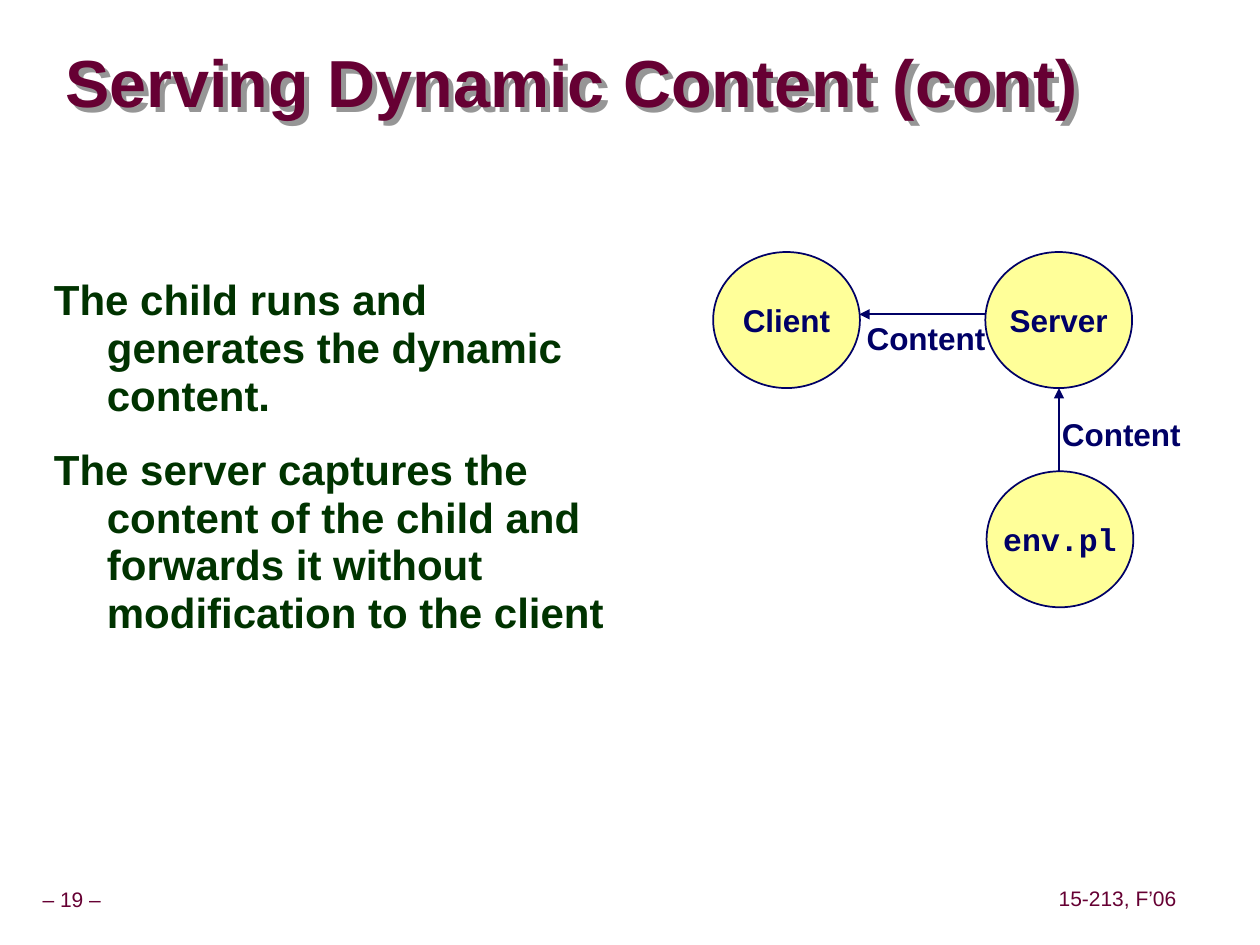
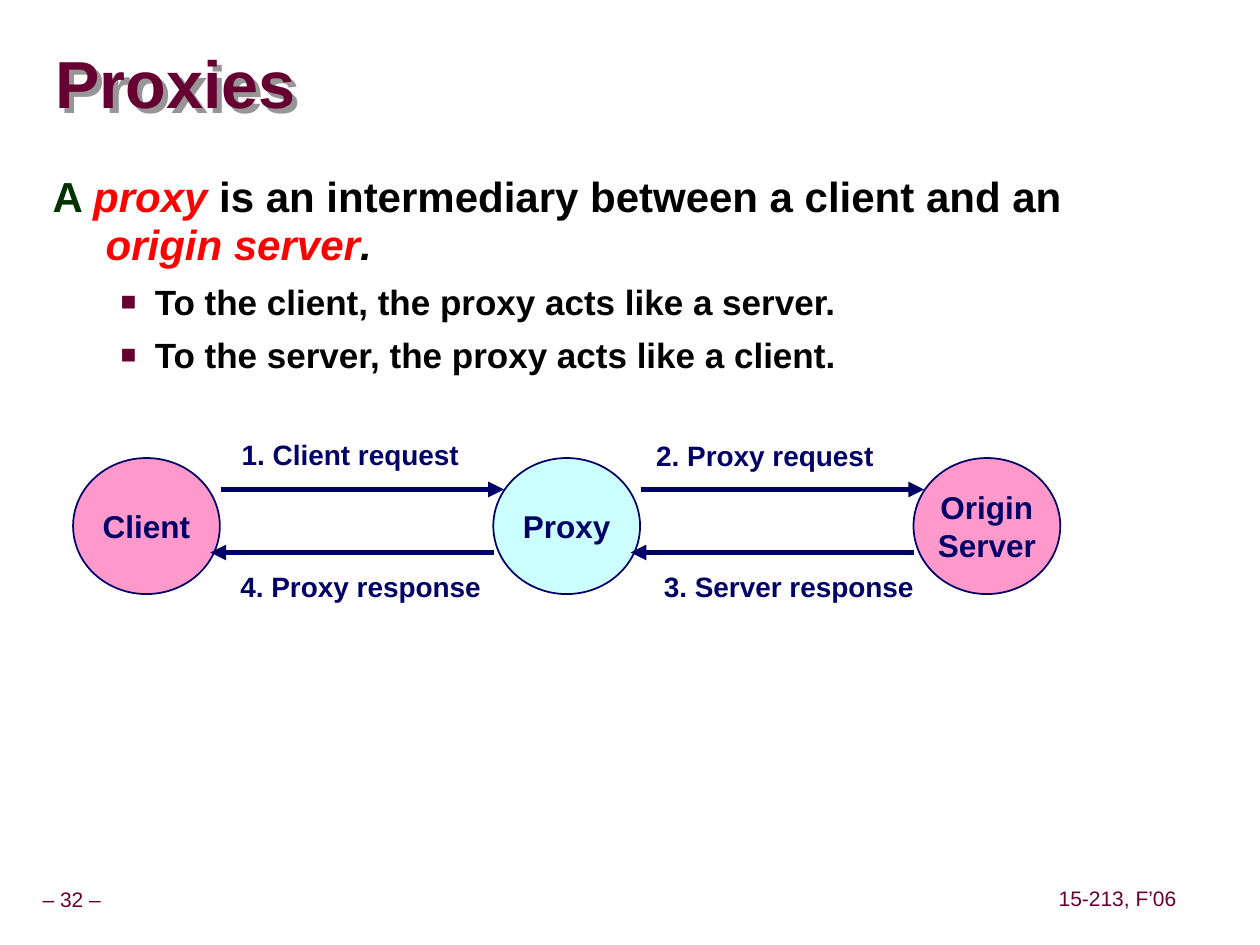
import dataclasses
import typing

import lxml.etree
import pptx
import pptx.dml.color
import pptx.enum.shapes
import pptx.enum.text
import pptx.oxml.ns
import pptx.shapes.base
import pptx.slide
import pptx.util

MAROON = pptx.dml.color.RGBColor(0x66, 0x00, 0x33)
NAVY = pptx.dml.color.RGBColor(0x00, 0x00, 0x66)
FOREST = pptx.dml.color.RGBColor(0x00, 0x33, 0x00)
RED = pptx.dml.color.RGBColor(0xFF, 0x00, 0x00)
BLACK = pptx.dml.color.RGBColor(0x00, 0x00, 0x00)
YELLOW = pptx.dml.color.RGBColor(0xFF, 0xFF, 0x99)
PINK = pptx.dml.color.RGBColor(0xFF, 0x99, 0xCC)
CYAN = pptx.dml.color.RGBColor(0xCC, 0xFF, 0xFF)
SHADE = pptx.dml.color.RGBColor(0x96, 0x96, 0x96)

SLIDE_WIDTH = pptx.util.Inches(10)
SLIDE_HEIGHT = pptx.util.Inches(7.5)
COLUMN = SLIDE_WIDTH / 100
ROW = SLIDE_HEIGHT / 75

MIDDLE = pptx.enum.text.MSO_ANCHOR.MIDDLE
TOP = pptx.enum.text.MSO_ANCHOR.TOP
CENTER = pptx.enum.text.PP_ALIGN.CENTER
LEFT = pptx.enum.text.PP_ALIGN.LEFT

NODE_COLUMNS, NODE_ROWS = 11.65, 10.8
COURSE = "15-213, F’06"


@dataclasses.dataclass(frozen=True)
class Box:
    column: float
    row: float
    columns: float
    rows: float

    def emu(self) -> tuple[int, ...]:
        return (round(self.column * COLUMN), round(self.row * ROW),
                round(self.columns * COLUMN), round(self.rows * ROW))


@dataclasses.dataclass(frozen=True)
class Span:
    text: str
    color: pptx.dml.color.RGBColor
    size: float
    bold: bool = True
    italic: bool = False
    face: str = "Arial"


@dataclasses.dataclass(frozen=True)
class Line:
    spans: tuple[Span, ...]
    formats: dict[str, typing.Any]
    bulleted: bool = False
    indent: float = 0


@dataclasses.dataclass(frozen=True)
class Node:
    column: float
    row: float
    names: tuple[str, ...]
    fill: pptx.dml.color.RGBColor
    face: str = "Arial"


@dataclasses.dataclass(frozen=True)
class Arrow:
    start: tuple[float, float]
    end: tuple[float, float]
    weight: float


@dataclasses.dataclass(frozen=True)
class Label:
    box: Box
    text: str
    size: float
    alignment: pptx.enum.text.PP_ALIGN


def apply(target: typing.Any, formats: dict[str, typing.Any]) -> None:
    for name, value in formats.items():
        setattr(target, name, value)


def add_xml(parent: typing.Any, tag: str, **attributes: str) -> typing.Any:
    element = lxml.etree.SubElement(parent, pptx.oxml.ns.qn(tag))
    for name, value in attributes.items():
        element.set(name, value)
    return element


def indent_line(paragraph: typing.Any, line: Line) -> None:
    properties = paragraph._p.get_or_add_pPr()
    hanging = 2.7 if line.bulleted else line.indent
    properties.set("marL", str(round(line.indent * COLUMN)))
    properties.set("indent", str(round(-hanging * COLUMN)))
    if line.bulleted:
        add_xml(add_xml(properties, "a:buClr"), "a:srgbClr", val=str(MAROON))
        add_xml(properties, "a:buSzPct", val="75000")
        add_xml(properties, "a:buFont", typeface="Arial")
        add_xml(properties, "a:buChar", char="■")


def write(shape: typing.Any, lines: typing.Sequence[Line],
          frame_formats: dict[str, typing.Any]) -> None:
    frame = shape.text_frame
    apply(frame, frame_formats)
    for index, line in enumerate(lines):
        paragraph = frame.add_paragraph() if index else frame.paragraphs[0]
        apply(paragraph, line.formats)
        if line.indent:
            indent_line(paragraph, line)
        for span in line.spans:
            run = paragraph.add_run()
            run.text = span.text
            apply(run.font, {"name": span.face, "size": pptx.util.Pt(span.size),
                             "bold": span.bold, "italic": span.italic})
            run.font.color.rgb = span.color


def margins(horizontal: float, vertical: float) -> dict[str, int]:
    across, down = round(horizontal * COLUMN), round(vertical * ROW)
    return {"margin_left": across, "margin_right": across,
            "margin_top": down, "margin_bottom": down}


def add_text(slide: pptx.slide.Slide, box: Box, lines: typing.Sequence[Line],
             **frame_formats: typing.Any) -> pptx.shapes.base.BaseShape:
    text = slide.shapes.add_textbox(*box.emu())
    write(text, lines, frame_formats)
    return text


def add_title(slide: pptx.slide.Slide, text: str, box: Box, inset: float) -> None:
    line = Line((Span(text, MAROON, 38),), {"line_spacing": 0.87})
    title = add_text(slide, box, [line], word_wrap=True,
                     vertical_anchor=MIDDLE, **margins(inset, inset / 2))
    effects = add_xml(title._element.spPr, "a:effectLst")
    shadow = add_xml(effects, "a:outerShdw", dist="53900", dir="2700000",
                     algn="ctr", rotWithShape="0")
    add_xml(shadow, "a:srgbClr", val=str(SHADE))


def add_footers(slide: pptx.slide.Slide, number: int) -> None:
    footers = ((Box(0, 70.1, 11.4, 2.8), f"– {number} –"),
               (Box(83.5, 70, 10.4, 2.8), COURSE))
    for box, text in footers:
        line = Line((Span(text, MAROON, 12, bold=False),),
                    {"alignment": CENTER, "line_spacing": 0.9})
        add_text(slide, box, [line], word_wrap=False,
                 vertical_anchor=MIDDLE, **margins(0.5, 0.5))


def add_body(slide: pptx.slide.Slide, box: Box, lines: typing.Sequence[Line]) -> None:
    add_text(slide, box, lines, word_wrap=True, vertical_anchor=TOP,
             **margins(1, 0.5))


def add_node(slide: pptx.slide.Slide, node: Node) -> None:
    oval = pptx.enum.shapes.MSO_SHAPE.OVAL
    box = Box(node.column, node.row, NODE_COLUMNS, NODE_ROWS)
    circle = slide.shapes.add_shape(oval, *box.emu())
    circle.shadow.inherit = False
    circle.fill.solid()
    circle.fill.fore_color.rgb = node.fill
    circle.line.color.rgb = NAVY
    circle.line.width = pptx.util.Pt(1)
    lines = [Line((Span(name, NAVY, 18, face=node.face),), {"alignment": CENTER})
             for name in node.names]
    write(circle, lines, {"word_wrap": False, "vertical_anchor": MIDDLE})


def add_arrow(slide: pptx.slide.Slide, arrow: Arrow) -> None:
    ends = [round(share * unit) for point in (arrow.start, arrow.end)
            for share, unit in zip(point, (COLUMN, ROW))]
    straight = pptx.enum.shapes.MSO_CONNECTOR.STRAIGHT
    connector = slide.shapes.add_connector(straight, *ends)
    connector.line.color.rgb = NAVY
    connector.line.width = pptx.util.Pt(arrow.weight)
    add_xml(connector.line._get_or_add_ln(), "a:tailEnd", type="triangle")
    add_xml(connector._element.spPr, "a:effectLst")


def add_label(slide: pptx.slide.Slide, label: Label) -> None:
    line = Line((Span(label.text, NAVY, label.size),), {"alignment": label.alignment})
    add_text(slide, label.box, [line], word_wrap=False,
             vertical_anchor=MIDDLE, **margins(1, 0.5))


def add_diagram(slide: pptx.slide.Slide, nodes: typing.Sequence[Node],
                arrows: typing.Sequence[Arrow], labels: typing.Sequence[Label]) -> None:
    for draw, parts in ((add_node, nodes), (add_arrow, arrows), (add_label, labels)):
        for part in parts:
            draw(slide, part)


def statement(*spans: Span, first: bool = False) -> Line:
    return Line(spans, {"line_spacing": 0.95,
                        "space_before": pptx.util.Pt(0 if first else 15)}, indent=4.2)


def point(text: str) -> Line:
    return Line((Span(text, BLACK, 20),),
                {"level": 1, "space_before": pptx.util.Pt(6.2)},
                bulleted=True, indent=8.1)


def build_dynamic_content(slide: pptx.slide.Slide) -> None:
    add_footers(slide, 19)
    add_title(slide, "Serving Dynamic Content (cont)", Box(4.2, 3.7, 90, 6.3), 1)
    add_body(slide, Box(3.3, 21.5, 46.9, 48.7), [
        statement(Span("The child runs and generates the dynamic content.", FOREST, 24),
                  first=True),
        statement(Span("The server captures the content of the child and forwards it "
                       "without modification to the client", FOREST, 24)),
    ])
    nodes = [Node(56.6, 20, ("Client",), YELLOW),
             Node(78.2, 20, ("Server",), YELLOW),
             Node(78.3, 37.4, ("env.pl",), YELLOW, "Courier New")]
    arrows = [Arrow((84.05, 37.4), (84.05, 30.8), 1),
              Arrow((78.2, 24.95), (68.2, 24.95), 1)]
    labels = [Label(Box(column, row, 12.4, 4), "Content", 18, CENTER)
              for column, row in ((82.8, 32.4), (67.3, 24.8))]
    add_diagram(slide, nodes, arrows, labels)


def build_proxies(slide: pptx.slide.Slide) -> None:
    add_footers(slide, 32)
    add_title(slide, "Proxies", Box(4.4, 2.7, 95.3, 8.5), 0)
    add_body(slide, Box(3.2, 13.35, 90.9, 43.3), [
        statement(Span("A ", FOREST, 24),
                  Span("proxy ", RED, 24, italic=True),
                  Span("is an intermediary between a client and an ", BLACK, 24),
                  Span("origin server", RED, 24, italic=True),
                  Span(".", BLACK, 24, italic=True), first=True),
        point("To the client, the proxy acts like a server."),
        point("To the server, the proxy acts like a client."),
    ])
    step = 33.35
    hosts = ((("Client",), PINK), (("Proxy",), CYAN), (("Origin", "Server"), PINK))
    nodes = [Node(5.8 + step * place, 36.35, names, fill)
             for place, (names, fill) in enumerate(hosts)]
    arrows = []
    for place in range(2):
        shift = step * place
        arrows += [Arrow((17.5 + shift, 38.85), (40 + shift, 38.85), 3),
                   Arrow((39.2 + shift, 43.85), (16.7 + shift, 43.85), 3)]
    exchanges = ((18.2, 34.2, "1. Client request"),
                 (51.1, 34.3, "2. Proxy request"),
                 (51.7, 44.7, "3. Server response"),
                 (18.1, 44.7, "4. Proxy response"))
    labels = [Label(Box(column, row, 23, 3.7), text, 16, LEFT)
              for column, row, text in exchanges]
    add_diagram(slide, nodes, arrows, labels)


def main() -> None:
    deck = pptx.Presentation()
    apply(deck, {"slide_width": SLIDE_WIDTH, "slide_height": SLIDE_HEIGHT})
    for build in (build_dynamic_content, build_proxies):
        build(deck.slides.add_slide(deck.slide_layouts[6]))
    deck.save("out.pptx")


if __name__ == "__main__":
    main()
